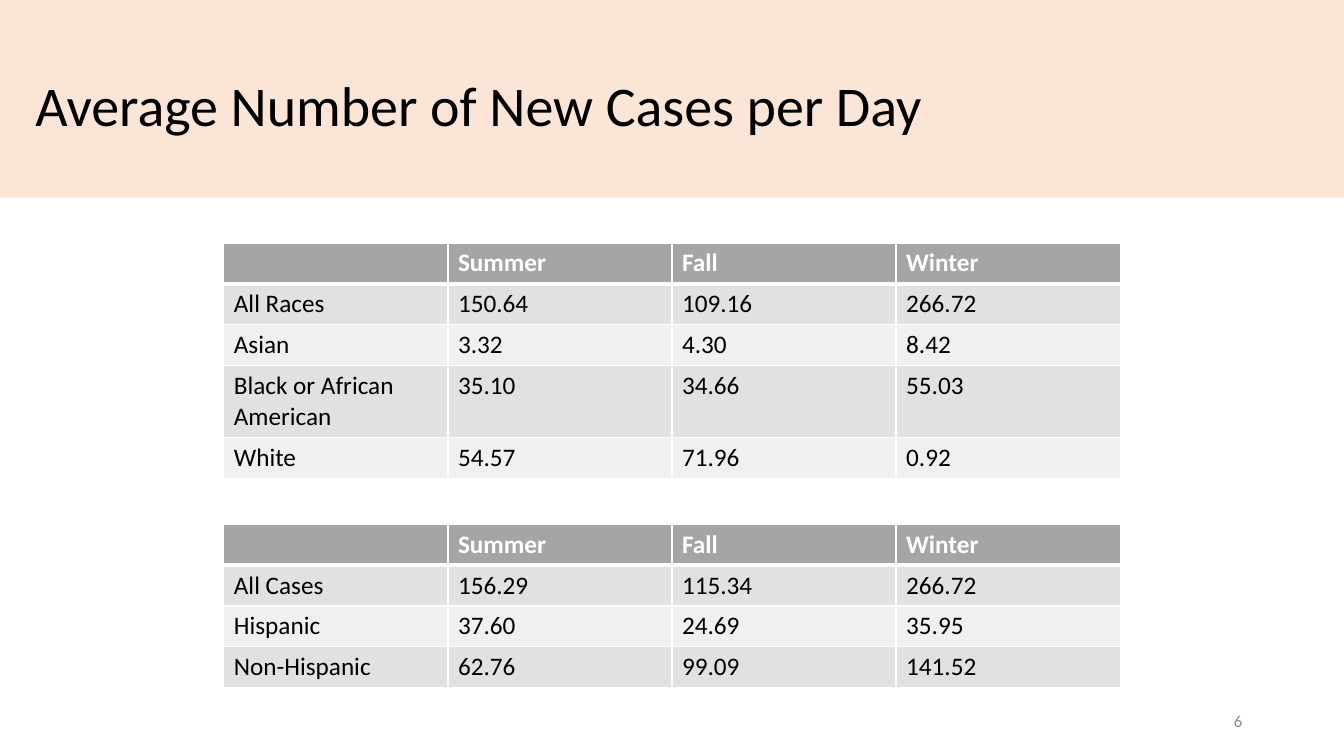
from lxml.etree import SubElement
from pptx import Presentation
from pptx.dml.color import RGBColor
from pptx.enum.text import MSO_ANCHOR, MSO_AUTO_SIZE, PP_ALIGN
from pptx.oxml.ns import qn
from pptx.util import Inches, Pt

HUES = {"band": "FBE5D6", "head": "A5A5A5", "odd": "E1E1E1", "even": "F0F0F0",
        "white": "FFFFFF", "black": "000000", "gray": "8C8C8C"}
HEAD = ["", "Summer", "Fall", "Winter"]
RACES = [
    HEAD,
    ["All Races", "150.64", "109.16", "266.72"],
    ["Asian", "3.32", "4.30", "8.42"],
    ["Black or African American", "35.10", "34.66", "55.03"],
    ["White", "54.57", "71.96", "0.92"],
]
GROUPS = [
    HEAD,
    ["All Cases", "156.29", "115.34", "266.72"],
    ["Hispanic", "37.60", "24.69", "35.95"],
    ["Non-Hispanic", "62.76", "99.09", "141.52"],
]


class Deck:
    font = "Calibri"

    def __init__(self):
        self.show = Presentation()
        self.show.slide_width = Inches(13.33)
        self.show.slide_height = Inches(7.5)
        self.slide = self.show.slides.add_slide(self.show.slide_layouts[5])

    def paint(self, item, hue):
        item.fill.solid()
        item.fill.fore_color.rgb = RGBColor.from_string(HUES[hue])

    def label(self, frame, text, size, hue, bold=False, align=PP_ALIGN.LEFT):
        para = frame.paragraphs[0]
        para.alignment = align
        run = para.add_run()
        run.text = text
        run.font.name = self.font
        run.font.size = Pt(size)
        run.font.bold = bold
        run.font.color.rgb = RGBColor.from_string(HUES[hue])

    def title(self, text):
        box = self.slide.shapes.title
        box.left, box.top = Inches(0), Inches(-0.03)
        box.width, box.height = Inches(13.33), Inches(1.99)
        self.paint(box, "band")
        frame = box.text_frame
        frame.auto_size = MSO_AUTO_SIZE.NONE
        frame.vertical_anchor = MSO_ANCHOR.MIDDLE
        frame.margin_left = Inches(0.35)
        frame.margin_top = Inches(0.19)
        self.label(frame, text, 40, "black")

    def edge(self, cell, side, width):
        line = SubElement(cell._tc.get_or_add_tcPr(), qn("a:ln" + side), w=str(Pt(width)))
        fill = SubElement(line, qn("a:solidFill"))
        SubElement(fill, qn("a:srgbClr"), val=HUES["white"])

    def table(self, rows, top, height):
        grid = self.slide.shapes.add_table(
            len(rows), len(HEAD), Inches(2.22), Inches(top), Inches(8.89), Inches(height)).table
        for r, row in enumerate(rows):
            hue = "head" if r == 0 else "odd" if r % 2 else "even"
            widths = {"L": 1, "R": 1, "T": 3 if r == 1 else 1, "B": 3 if r == 0 else 1}
            for c, text in enumerate(row):
                cell = grid.cell(r, c)
                for side, width in widths.items():
                    self.edge(cell, side, width)
                self.paint(cell, hue)
                if text:
                    self.label(cell.text_frame, text, 18, "black" if r else "white", r == 0)

    def number(self, text):
        box = self.slide.shapes.add_textbox(Inches(9.42), Inches(6.95), Inches(3), Inches(0.4))
        frame = box.text_frame
        frame.word_wrap = True
        frame.vertical_anchor = MSO_ANCHOR.MIDDLE
        self.label(frame, text, 12, "gray", align=PP_ALIGN.RIGHT)


def main():
    deck = Deck()
    deck.title("Average Number of New Cases per Day")
    deck.table(RACES, 2.41, 2.03)
    deck.table(GROUPS, 5.2, 1.62)
    deck.number("6")
    deck.show.save("out.pptx")


if __name__ == "__main__":
    main()
